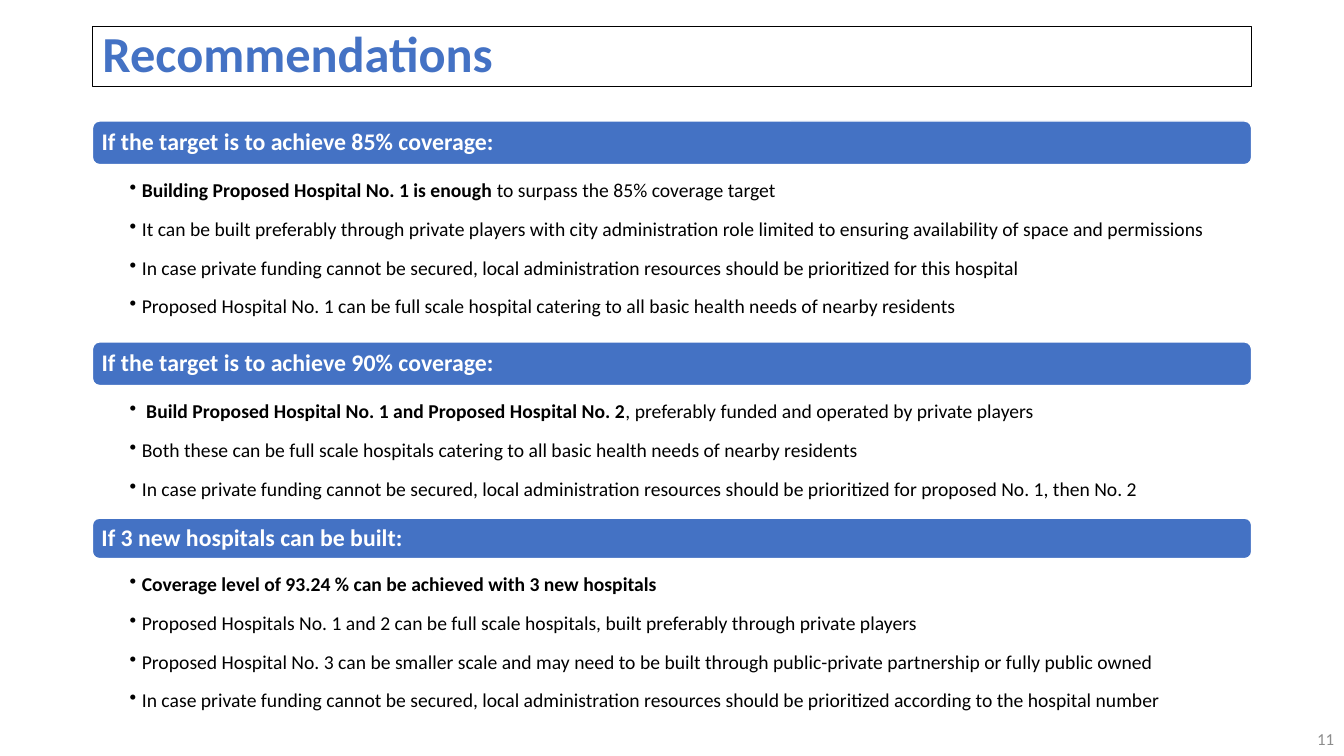
import pptx
import pptx.util
import pptx.dml.color
import pptx.enum.shapes
import pptx.enum.text
import pptx.oxml
import pptx.oxml.ns

COLORS = {"blue": "4472C4", "white": "FFFFFF", "black": "000000", "gray": "8C8C8C"}
COLUMNS, ROWS = 160, 90
LEFT, WIDTH = 11, 138
BAR_ROWS = 5.2
ALIGN = pptx.enum.text.PP_ALIGN
ANCHOR = pptx.enum.text.MSO_ANCHOR

SECTIONS = [
    ("If the target is to achieve 85% coverage:", BAR_ROWS, 21.1, [
        ("Building Proposed Hospital No. 1 is enough ", "to surpass the 85% coverage target"),
        ("", "It can be built preferably through private players with city administration role "
             "limited to ensuring availability of space and permissions"),
        ("", "In case private funding cannot be secured, local administration resources "
             "should be prioritized for this hospital"),
        ("", "Proposed Hospital No. 1 can be full scale hospital catering to all basic "
             "health needs of nearby residents"),
    ]),
    ("If the target is to achieve 90% coverage:", BAR_ROWS, 15.8, [
        (" Build Proposed Hospital No. 1 and Proposed Hospital No. 2",
         ", preferably funded and operated by private players"),
        ("", "Both these can be full scale hospitals catering to all basic health needs "
             "of nearby residents"),
        ("", "In case private funding cannot be secured, local administration resources "
             "should be prioritized for proposed No. 1, then No. 2"),
    ]),
    ("If 3 new hospitals can be built:", 4.8, 16.8, [
        ("Coverage level of 93.24 % can be achieved with 3 new hospitals", ""),
        ("", "Proposed Hospitals No. 1 and 2 can be full scale hospitals, built preferably "
             "through private players"),
        ("", "Proposed Hospital No. 3 can be smaller scale and may need to be built through "
             "public-private partnership or fully public owned"),
        ("", "In case private funding cannot be secured, local administration resources "
             "should be prioritized according to the hospital number"),
    ]),
]


class Page:
    font_name = "Calibri"

    def __init__(self, deck):
        self.slide = deck.slides.add_slide(deck.slide_layouts[5])
        self.column = deck.slide_width / COLUMNS
        self.row = deck.slide_height / ROWS

    def area(self, left, top, width, height):
        return [int(size) for size in (left * self.column, top * self.row,
                                       width * self.column, height * self.row)]

    def color(self, name):
        return pptx.dml.color.RGBColor.from_string(COLORS[name])

    def frame(self, box, anchor, left=0.1, top=0.05, right=0.1, bottom=0.05):
        frame = box.text_frame
        frame.word_wrap = True
        frame.auto_size = pptx.enum.text.MSO_AUTO_SIZE.NONE
        frame.vertical_anchor = anchor
        frame.margin_left, frame.margin_top, frame.margin_right, frame.margin_bottom = (
            pptx.util.Inches(margin) for margin in (left, top, right, bottom))
        return frame

    def style(self, para, size, color, bold=None, align=ALIGN.LEFT, spacing=0.9):
        para.alignment = align
        para.line_spacing = spacing
        para.font.name = self.font_name
        para.font.size = pptx.util.Pt(size)
        para.font.bold = bold
        para.font.color.rgb = self.color(color)

    def outline(self, box, color, width):
        box.line.color.rgb = self.color(color)
        box.line.width = pptx.util.Pt(width)

    def title(self, text, *cells):
        box = self.slide.shapes.title
        box.left, box.top, box.width, box.height = self.area(*cells)
        self.outline(box, "black", 0.75)
        para = self.frame(box, ANCHOR.MIDDLE).paragraphs[0]
        para.text = text
        self.style(para, 36, "blue", bold=True)

    def bar(self, text, *cells):
        box = self.slide.shapes.add_shape(
            pptx.enum.shapes.MSO_SHAPE.ROUNDED_RECTANGLE, *self.area(*cells))
        box.shadow.inherit = False
        box.fill.solid()
        box.fill.fore_color.rgb = self.color("blue")
        self.outline(box, "white", 1)
        para = self.frame(box, ANCHOR.MIDDLE, 0.07, 0.07, 0.07, 0.07).paragraphs[0]
        para.text = text
        self.style(para, 17, "white", bold=True)

    def bullets(self, items, *cells):
        box = self.slide.shapes.add_textbox(*self.area(*cells))
        frame = self.frame(box, ANCHOR.TOP, 0.37, 0.02, 0.11, 0.02)
        for index, (strong, plain) in enumerate(items):
            para = frame.add_paragraph() if index else frame.paragraphs[0]
            self.style(para, 14, "black", spacing=1.5)
            para.space_after = pptx.util.Pt(2.4)
            para.level = 1
            self.mark(para)
            for text, bold in ((strong, True), (plain, False)):
                if text:
                    span = para.add_run()
                    span.text = text
                    span.font.bold = bold

    def mark(self, para):
        properties = para._p.get_or_add_pPr()
        indent = pptx.util.Inches(0.12)
        properties.set("marL", str(indent))
        properties.set("indent", str(-indent))
        bullet = pptx.oxml.parse_xml(
            '<a:buChar %s char="•"/>' % pptx.oxml.ns.nsdecls("a"))
        properties.insert_element_before(bullet, "a:tabLst", "a:defRPr", "a:extLst")

    def number(self, text, *cells):
        box = self.slide.shapes.add_textbox(*self.area(*cells))
        para = self.frame(box, ANCHOR.MIDDLE).paragraphs[0]
        para.text = text
        self.style(para, 12, "gray", align=ALIGN.RIGHT, spacing=1.0)


deck = pptx.Presentation()
deck.slide_width = pptx.util.Inches(13.33)
deck.slide_height = pptx.util.Inches(7.5)
page = Page(deck)
page.number("11", 124, 85.6, 36, 4.8)
page.title("Recommendations", LEFT, 3.1, WIDTH, 7.2)
top = 14.4
for heading, bar_rows, list_rows, items in SECTIONS:
    page.bar(heading, LEFT, top, WIDTH, bar_rows)
    page.bullets(items, LEFT, top + bar_rows, WIDTH, list_rows)
    top += bar_rows + list_rows
deck.save("out.pptx")
